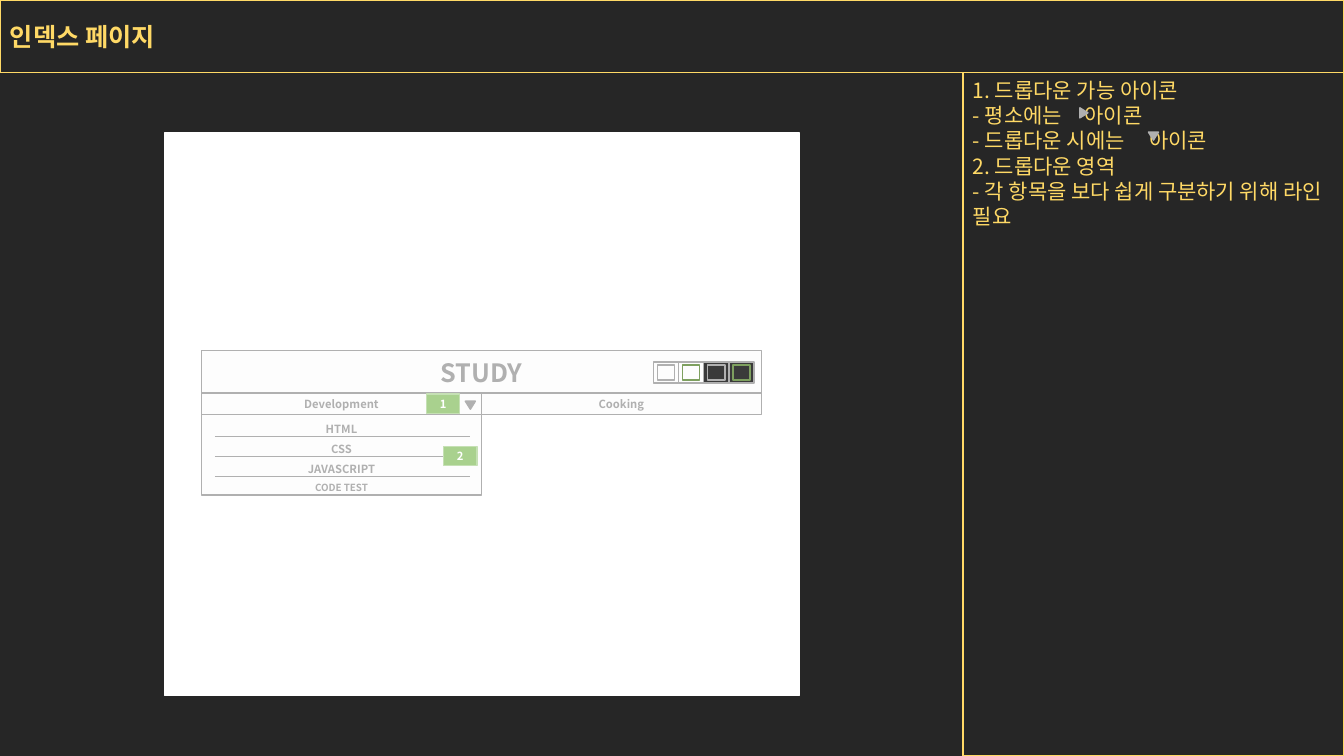
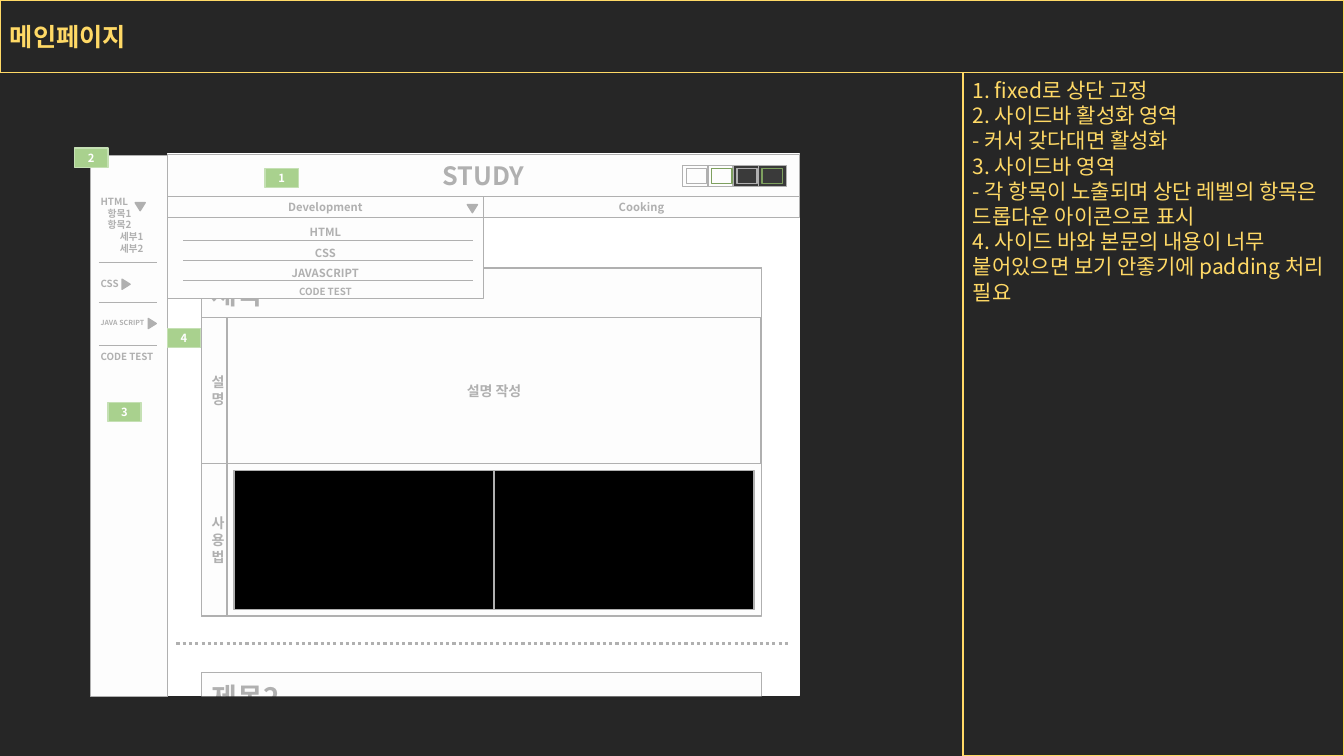
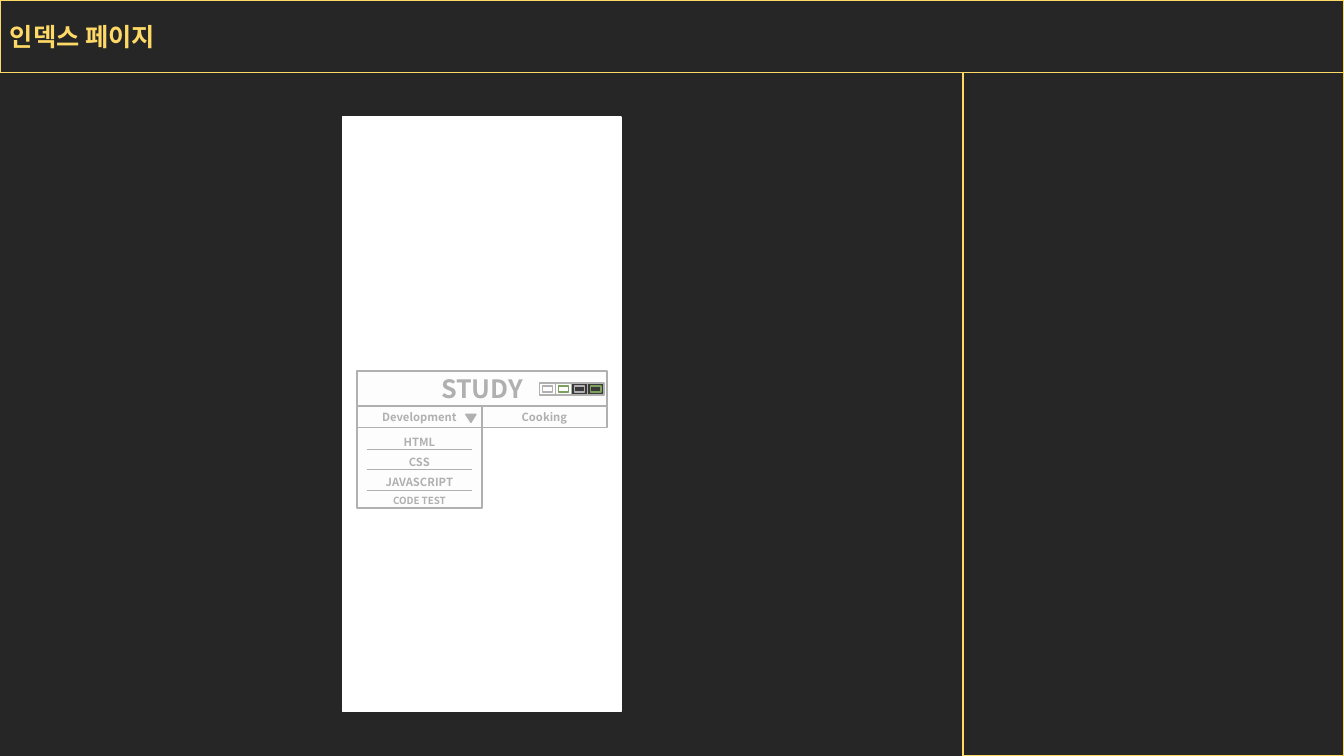
from lxml import etree
from pptx import Presentation
from pptx.dml.color import RGBColor
from pptx.enum.dml import MSO_LINE
from pptx.enum.shapes import MSO_CONNECTOR, MSO_SHAPE
from pptx.enum.text import MSO_ANCHOR, PP_ALIGN
from pptx.oxml.ns import qn
from pptx.util import Inches, Pt

RECT = MSO_SHAPE.RECTANGLE
TRI = MSO_SHAPE.ISOSCELES_TRIANGLE
LINE = MSO_CONNECTOR.STRAIGHT
DOTS = MSO_LINE.ROUND_DOT
LEFT, MID = PP_ALIGN.LEFT, PP_ALIGN.CENTER
TOP, CORE = MSO_ANCHOR.TOP, MSO_ANCHOR.MIDDLE

FONT = "Noto Sans CJK KR"
DARK, GOLD, WHITE = "262626", "FFD966", "FFFFFF"
PALE, GRAY, COAL = "FDFDFD", "B0B0B0", "3A3A3A"
MOSS, GREEN, MINT = "7EA05F", "A9D18E", "C5E0B4"
BLACK = "000000"
WIDE, HIGH = 13.33, 7.5
BAND, SPLIT = 0.72, 9.55
DOWN, RIGHT = 180, 90


def color(code):
    return RGBColor.from_string(code)


def write(shape, text, anchor=CORE, top=0.05, **base):
    frame = shape.text_frame
    frame.word_wrap = True
    frame.vertical_anchor = anchor
    frame.margin_top = Inches(top)
    for i, item in enumerate([text] if isinstance(text, str) else text):
        words, extra = (item, {}) if isinstance(item, str) else item
        para = frame.add_paragraph() if i else frame.paragraphs[0]
        fill_line(para, words, **{**base, **extra})


def fill_line(para, words, size=8, ink=GRAY, bold=True, align=MID,
              space=None, before=0, indent=0, tab=0):
    para.alignment = align
    props = para._p.get_or_add_pPr()
    if indent:
        props.set("marL", str(Inches(indent)))
    if tab:
        stops = etree.SubElement(props, qn("a:tabLst"))
        etree.SubElement(stops, qn("a:tab"), pos=str(Inches(tab)), algn="l")
    if space:
        para.line_spacing = space
    if before:
        para.space_before = Pt(before)
    run = para.add_run()
    run.text = words
    font = run.font
    font.size, font.bold, font.name = Pt(size), bold, FONT
    font.color.rgb = color(ink)
    etree.SubElement(run._r.get_or_add_rPr(), qn("a:ea"), typeface=FONT)


def box(slide, x, y, w, h, fill=PALE, edge=GRAY, kind=RECT):
    shape = slide.shapes.add_shape(kind, Inches(x), Inches(y), Inches(w), Inches(h))
    shape.shadow.inherit = False
    shape.fill.solid()
    shape.fill.fore_color.rgb = color(fill)
    if edge:
        shape.line.color.rgb = color(edge)
        shape.line.width = Pt(1)
    else:
        shape.line.fill.background()
    return shape


def label(slide, text, x, y, w, h, **form):
    write(box(slide, x, y, w, h), text, **form)


def rule(slide, x1, x2, y, width=0.5, dash=None):
    line = slide.shapes.add_connector(LINE, Inches(x1), Inches(y), Inches(x2), Inches(y))
    line.line.color.rgb = color(GRAY)
    line.line.width = Pt(width)
    if dash:
        line.line.dash_style = dash
    etree.SubElement(line._element.spPr, qn("a:effectLst"))


def arrow(slide, x, y, turn):
    box(slide, x, y, 0.1, 0.08, GRAY, GRAY, TRI).rotation = turn


def badge(slide, text, x, y):
    write(box(slide, x, y, 0.33, 0.19, GREEN, MINT), text, ink=WHITE)


def page(deck, title, notes=()):
    slide = deck.slides.add_slide(deck.slide_layouts[6])
    band = box(slide, 0, 0, WIDE, BAND, DARK, GOLD)
    write(band, title, size=18, ink=GOLD, align=LEFT)
    side = box(slide, SPLIT, BAND, WIDE - SPLIT, HIGH - BAND, DARK, GOLD)
    write(side, notes, anchor=TOP, size=15, ink=GOLD, bold=False, align=LEFT)
    return slide


def header(slide, x, y, w, h, left, right):
    half = w / 2
    tabs = y + h
    drop = tabs + 0.21
    label(slide, "STUDY", x, y, w, h, size=18)
    for i, name in enumerate(("Development", "Cooking")):
        label(slide, name, x + i * half, tabs, half, 0.21)
    items = ["HTML", "CSS", "JAVASCRIPT", ("CODE TEST", {"size": 7})]
    label(slide, items, x, drop, half, 0.8, space=1.5)
    for i in range(3):
        rule(slide, x + left, x + half - right, drop + 0.22 + i * 0.2)
    arrow(slide, x + half - 0.16, tabs + 0.08, DOWN)


def themes(slide, x, y, w, h, step, pad_x, pad_y):
    fills = (PALE, PALE, COAL, COAL)
    edges = (GRAY, MOSS, GRAY, MOSS)
    for i, fill in enumerate(fills):
        box(slide, x + i * step, y, w, h, fill)
    for i, (fill, edge) in enumerate(zip(fills, edges)):
        box(slide, x + i * step + pad_x, y + pad_y,
            w - 2 * pad_x, h - 2 * pad_y, fill, edge)


def index(deck):
    slide = page(deck, "인덱스 페이지", [
        "1. 드롭다운 가능 아이콘",
        ("- 평소에는\t아이콘", {"tab": 1.11}),
        ("- 드롭다운 시에는\t아이콘", {"tab": 1.75}),
        "2. 드롭다운 영역",
        "- 각 항목을 보다 쉽게 구분하기 위해 라인 필요",
    ])
    box(slide, 1.63, 1.32, 6.3, 5.58, WHITE, WHITE)
    header(slide, 2, 3.48, 5.55, 0.42, 0.13, 0.11)
    themes(slide, 6.48, 3.59, 0.25, 0.21, 0.25, 0.04, 0.03)
    badge(slide, "1", 4.23, 3.91)
    badge(slide, "2", 4.4, 4.43)
    arrow(slide, 10.7, 1.08, RIGHT)
    arrow(slide, 11.39, 1.31, DOWN)


def post(slide):
    x, y, w = 2, 2.66, 5.55
    box(slide, x, y, w, 3.45)
    label(slide, "제목", x, y, w, 0.49, size=20, align=LEFT)
    label(slide, "설명", x, 3.15, 0.25, 1.45, size=10)
    label(slide, "사용법", x, 4.6, 0.25, 1.51, size=10)
    label(slide, "설명 작성", x + 0.25, 3.15, w - 0.25, 1.45, size=10)
    for i in range(2):
        box(slide, 2.32 + i * 2.58, 4.67, 2.58, 1.38, BLACK)
    label(slide, "제목2", x, 6.67, w, 0.5, size=20, align=LEFT)
    rule(slide, 1.75, 7.84, 6.38, 2.25, DOTS)
    box(slide, 1.63, 6.91, 6.3, 0.5, DARK, None)


def sidebar(slide):
    topic, part = {"indent": 0.07}, {"indent": 0.19}
    items = [
        "HTML", ("항목1", topic), ("항목2", topic), ("세부1", part), ("세부2", part),
        ("CSS", {"before": 16.8}),
        ("JAVA SCRIPT", {"before": 21, "size": 5}),
        ("CODE TEST", {"before": 16.8}),
    ]
    label(slide, items, 0.9, 1.54, 0.76, 5.37, anchor=TOP, top=0.4, size=7, align=LEFT)
    for y in (2.6, 3, 3.43):
        rule(slide, 0.98, 1.56, y)
    arrow(slide, 1.34, 2.01, DOWN)
    arrow(slide, 1.2, 2.78, RIGHT)
    arrow(slide, 1.46, 3.17, RIGHT)


def main_page(deck):
    slide = page(deck, "메인페이지", [
        "1. fixed로 상단 고정",
        "2. 사이드바 활성화 영역",
        "- 커서 갖다대면 활성화",
        "3. 사이드바 영역",
        "- 각 항목이 노출되며 상단 레벨의 항목은 드롭다운 아이콘으로 표시",
        "4. 사이드 바와 본문의 내용이 너무 붙어있으면 보기 안좋기에 padding 처리 필요",
    ])
    box(slide, 1.66, 1.53, 6.27, 5.37, WHITE, WHITE)
    post(slide)
    sidebar(slide)
    header(slide, 1.66, 1.53, 6.27, 0.42, 0.16, 0.1)
    themes(slide, 6.77, 1.64, 0.28, 0.21, 0.25, 0.04, 0.03)
    spots = ((2.63, 1.67), (0.74, 1.47), (1.07, 3.99), (1.66, 3.26))
    for i, (x, y) in enumerate(spots, 1):
        badge(slide, str(i), x, y)


def mobile(deck):
    slide = page(deck, "인덱스 페이지")
    box(slide, 3.4, 1.16, 2.76, 5.9, WHITE, WHITE)
    header(slide, 3.54, 3.68, 2.48, 0.35, 0.1, 0.1)
    themes(slide, 5.35, 3.8, 0.16, 0.12, 0.16, 0.03, 0.03)


def main():
    deck = Presentation()
    deck.slide_width, deck.slide_height = Inches(WIDE), Inches(HIGH)
    back = deck.slide_master.background.fill
    back.solid()
    back.fore_color.rgb = color(DARK)
    index(deck)
    main_page(deck)
    mobile(deck)
    deck.save("out.pptx")


if __name__ == "__main__":
    main()
